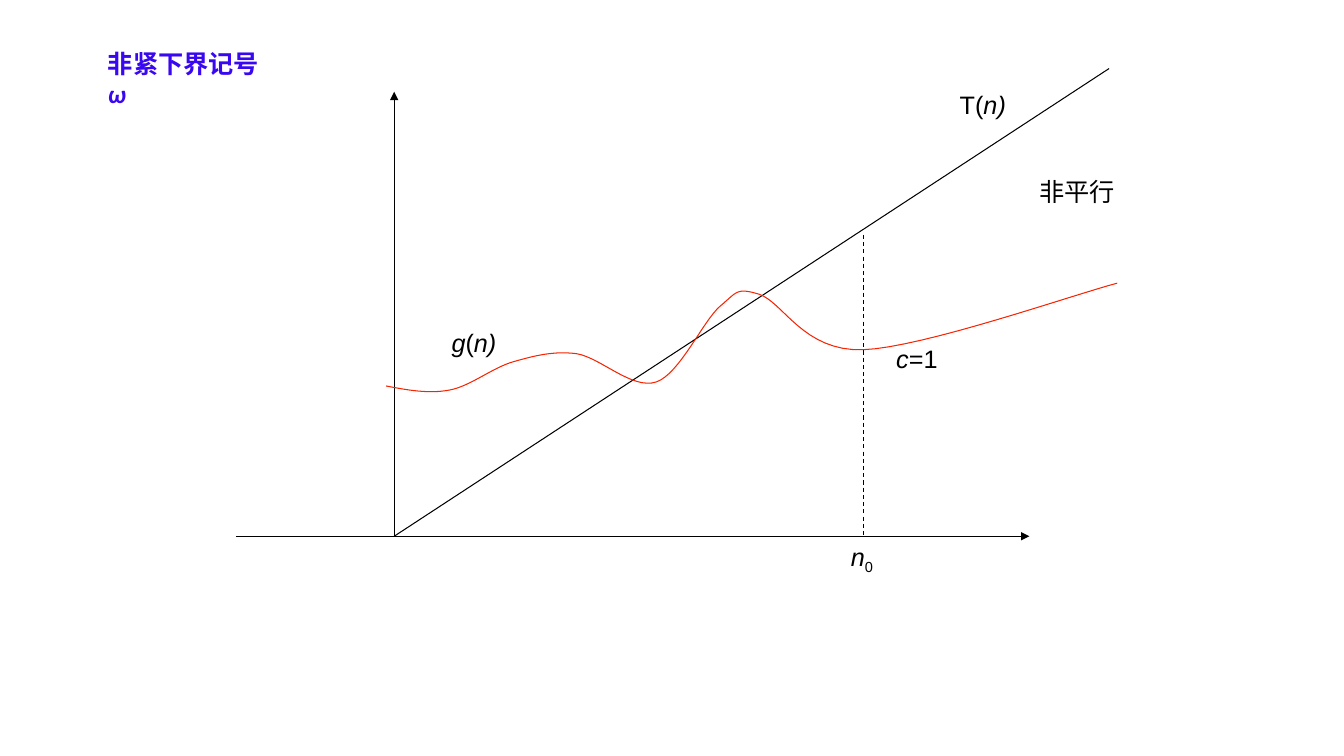
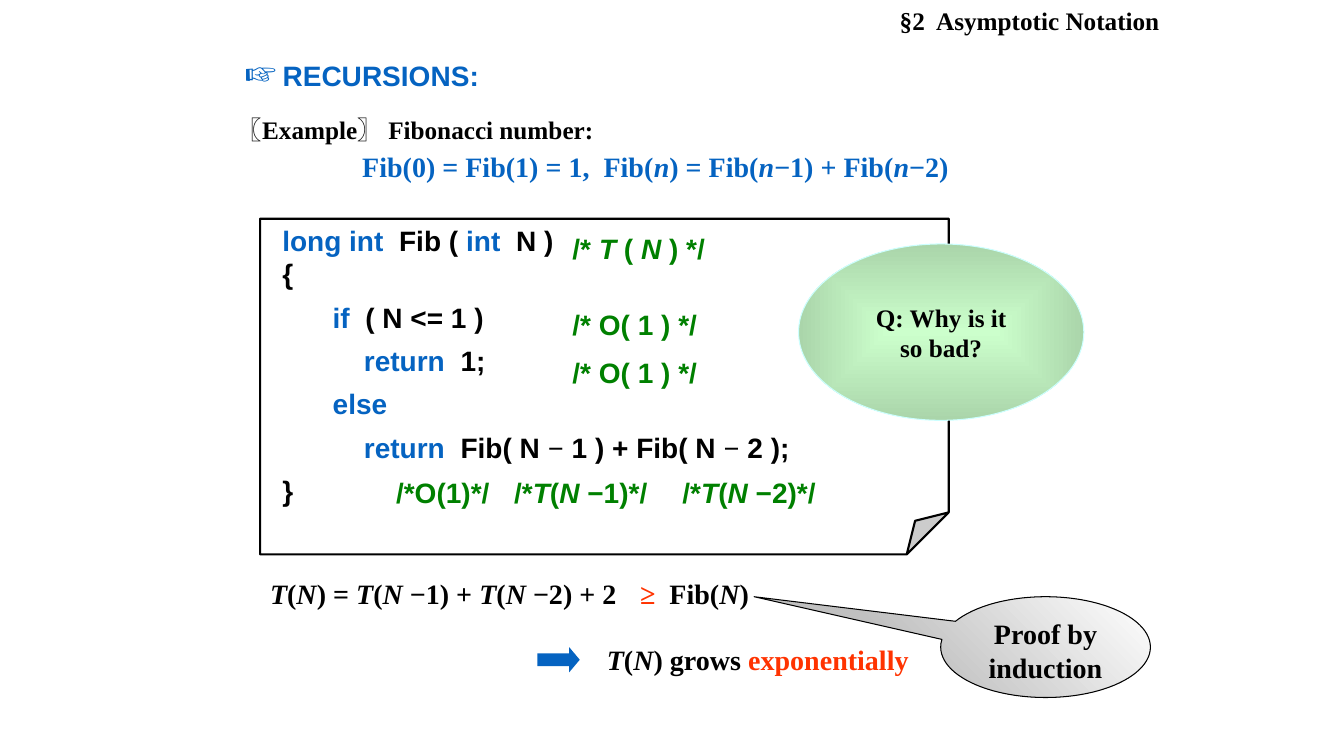
from dataclasses import dataclass

from lxml.etree import SubElement
from pptx import Presentation
from pptx.dml.color import RGBColor
from pptx.enum.dml import MSO_LINE_DASH_STYLE as Dash
from pptx.enum.shapes import MSO_CONNECTOR as Conn, MSO_SHAPE as Shp
from pptx.enum.text import MSO_ANCHOR as Anchor, MSO_AUTO_SIZE as Auto, PP_ALIGN as Align
from pptx.oxml.ns import qn
from pptx.util import Inches, Pt


@dataclass(frozen=True)
class Theme:
    """Colours, fonts and type sizes of the deck."""
    black: str = "000000"
    white: str = "FFFFFF"
    violet: str = "3907F1"
    blue: str = "0563C1"
    green: str = "008000"
    red: str = "FF3300"
    curve: str = "F72401"
    silver: str = "C0C0C0"
    mint: str = "CCFFCC"
    sage: str = "AAD5AA"
    ice: str = "CCFFFF"
    sans: str = "Arial"
    serif: str = "Times New Roman"
    title: str = "Calibri"
    small: int = 18
    large: int = 20
    icon: int = 28


T = Theme()
BLUE = {"color": T.blue}
RED = {"color": T.red}
SERIF = {"font": T.serif}
CODE = [
    [("long int", BLUE), "  Fib ( ", ("int", BLUE), "  N )"],
    ["{"],
    ["\t", ("if", BLUE), "  ( N <= 1 )"],
    ["\t    ", ("return", BLUE), "  1;"],
    ["\t", ("else", BLUE)],
    ["\t    ", ("return", BLUE), "  Fib( N ", ("−", SERIF), " 1 ) + Fib( N ",
     ("−", SERIF), " 2 );"],
    ["}"],
]
NOTES = [
    (3, 0.08, 1.83, "/* _T _( _N _) */"),
    (3, 0.83, 1.83, "/* O( 1 ) */"),
    (3, 1.31, 1.83, "/* O( 1 ) */"),
    (1.25, 2.5, 1.33, "/*O(1)*/"),
    (2.42, 2.5, 1.75, "/*_T_(_N _−1)*/"),
    (4.09, 2.5, 1.75, "/*_T_(_N _−2)*/"),
]
CURVE_START = (-0.08, 1.49)
CURVE = [
    ((0.13, 1.45), (0.34, 1.41), (0.55, 1.45)),
    ((0.76, 1.49), (0.97, 1.67), (1.18, 1.73)),
    ((1.39, 1.79), (1.58, 1.84), (1.81, 1.81)),
    ((2.05, 1.77), (2.36, 1.45), (2.6, 1.53)),
    ((2.83, 1.61), (3.06, 2.13), (3.23, 2.28)),
    ((3.4, 2.42), (3.39, 2.47), (3.62, 2.4)),
    ((3.86, 2.32), (4.06, 1.83), (4.65, 1.85)),
    ((5.24, 1.87), (6.75, 2.4), (7.17, 2.51)),
]


def rgb(color):
    """Turn a hex string into a colour."""
    return RGBColor.from_string(color)


def write(p, text, size=T.small, font=T.sans, color=T.black, bold=False):
    """Add text to a paragraph, with italics between underscores."""
    for i, part in enumerate(text.split("_")):
        if part:
            r = p.add_run()
            r.text = part
            r.font.size, r.font.name = Pt(size), font
            r.font.bold, r.font.italic = bold, i % 2 == 1
            r.font.color.rgb = rgb(color)


def fill_par(p, parts, align=Align.LEFT, before=0, after=0, **fmt):
    """Set up a paragraph from strings and (string, overrides) pairs."""
    p.alignment = align
    p.space_before, p.space_after = Pt(before), Pt(after)
    for part in parts:
        text, extra = (part, {}) if isinstance(part, str) else part
        write(p, text, **{**fmt, **extra})


def place(sp, box):
    """Move a shape to a box in inches."""
    sp.left, sp.top, sp.width, sp.height = map(Inches, box)


def label(s, box, *parts, **fmt):
    """Add a one-paragraph text box."""
    sp = s.shapes.add_textbox(*map(Inches, box))
    sp.text_frame.word_wrap = True
    fill_par(sp.text_frame.paragraphs[0], parts, **fmt)
    return sp


def holder(sp, box):
    """Place a placeholder with top-anchored text and return its text frame."""
    place(sp, box)
    tf = sp.text_frame
    tf.word_wrap, tf.auto_size = True, Auto.NONE
    tf.vertical_anchor = Anchor.TOP
    return tf


def adjust(sp, values):
    """Write the adjustment values of a preset shape."""
    guides = sp.element.spPr.find(qn("a:prstGeom")).find(qn("a:avLst"))
    for guide in list(guides):
        guides.remove(guide)
    for i, value in enumerate(values, 1):
        name = "adj" if len(values) == 1 else f"adj{i}"
        SubElement(guides, qn("a:gd"),
                   {"name": name, "fmla": f"val {round(value * 100000)}"})


def shape(s, kind, box, adj=(), fill=None, line=None, width=0.75):
    """Add a preset shape without shadow."""
    sp = s.shapes.add_shape(kind, *map(Inches, box))
    sp.shadow.inherit = False
    if adj:
        adjust(sp, adj)
    if fill:
        sp.fill.solid()
        sp.fill.fore_color.rgb = rgb(fill)
    if line:
        sp.line.color.rgb, sp.line.width = rgb(line), Pt(width)
    else:
        sp.line.fill.background()
    return sp


def gradient(sp, start, end, angle=None):
    """Fill a shape with a linear gradient, or from its centre without an angle."""
    sp.fill.gradient()
    for stop, color, pos in zip(sp.fill.gradient_stops, (start, end), (0, 1)):
        stop.color.rgb, stop.position = rgb(color), pos
    if angle is not None:
        sp.fill.gradient_angle = angle
        return
    grad = sp.element.spPr.find(qn("a:gradFill"))
    grad.remove(grad.find(qn("a:lin")))
    radial = SubElement(grad, qn("a:path"), {"path": "shape"})
    SubElement(radial, qn("a:fillToRect"), dict.fromkeys("ltrb", "50000"))


def line(s, start, end, arrow=False, dash=None, target=None):
    """Draw a thin black line, optionally joined to the top of a target."""
    c = s.shapes.add_connector(Conn.STRAIGHT, *map(Inches, (*start, *end)))
    c.line.color.rgb, c.line.width = rgb(T.black), Pt(0.75)
    if dash:
        c.line.dash_style = dash
    if target is not None:
        c.end_connect(target, 0)
    spPr = c.element.spPr
    if arrow:
        SubElement(spPr.find(qn("a:ln")), qn("a:tailEnd"), {"type": "triangle"})
    SubElement(spPr, qn("a:effectLst"))


def bezier(p0, p1, p2, p3, steps=16):
    """List points along a cubic curve, without its start."""
    pts = []
    for t in (i / steps for i in range(1, steps + 1)):
        w = ((1 - t) ** 3, 3 * t * (1 - t) ** 2, 3 * t * t * (1 - t), t ** 3)
        pts.append(tuple(sum(k * v for k, v in zip(w, axis))
                         for axis in zip(p0, p1, p2, p3)))
    return pts


def plot(s, x, y):
    """Draw the growth plot with its top left corner at x, y."""
    def at(dx, dy):
        """Map plot coordinates to the slide."""
        return x + 1.57 + dx, y + 4.64 - dy

    line(s, at(-1.57, 0), at(6.3, 0), arrow=True)
    line(s, at(0, 0), at(0, 4.41), arrow=True)
    line(s, at(0, 0), at(7.09, 4.64))
    for dx, dy, w, text in ((0.47, 2.12, 0.71, "_g_(_n)_"),
                            (5.51, 4.48, 0.71, "T(_n)_"),
                            (4.88, 1.96, 0.75, "_c_=1"),
                            (6.3, 3.62, 1.1, "非平行")):
        label(s, (*at(dx, dy), w, 0.4), text)
    n0 = label(s, (*at(4.43, 0), 0.44, 0.4), "_n_", "0")
    sub = n0.text_frame.paragraphs[0].runs[1]
    sub.font._element.set("baseline", "-25000")
    line(s, at(4.65, 2.99), at(4.65, 0), dash=Dash.DASH, target=n0)

    pts, last = [], CURVE_START
    for seg in CURVE:
        pts += bezier(last, *seg)
        last = seg[-1]
    fb = s.shapes.build_freeform(*map(Inches, at(*CURVE_START)))
    fb.add_line_segments([tuple(map(Inches, at(*pt))) for pt in pts], close=False)
    sp = fb.convert_to_shape()
    sp.shadow.inherit = False
    sp.fill.background()
    sp.line.color.rgb, sp.line.width = rgb(T.curve), Pt(0.75)


def example(sp, box):
    """Fill the body placeholder with the Fibonacci definition."""
    tf = holder(sp, box)
    rows = [
        ("〖Example〗 Fibonacci number:", dict(size=T.small)),
        ("Fib(0) = Fib(1) = 1,  Fib(_n_) = Fib(_n_−1) + Fib(_n_−2)",
         dict(size=T.large, color=T.blue, align=Align.CENTER, before=4)),
    ]
    for i, (text, fmt) in enumerate(rows):
        p = tf.add_paragraph() if i else tf.paragraphs[0]
        pPr = p._p.get_or_add_pPr()
        pPr.set("marL", "0")
        pPr.set("indent", "0")
        SubElement(pPr, qn("a:buNone"))
        fill_par(p, [text], font=T.serif, bold=True, **fmt)


def code_sheet(s, x, y):
    """Draw the code page and its cost notes from the corner x, y."""
    sp = shape(s, Shp.FOLDED_CORNER, (x, y, 6.83, 3.33), (0.125,),
               fill=T.white, line=T.black, width=1.5)
    tf = sp.text_frame
    tf.word_wrap, tf.vertical_anchor = True, Anchor.BOTTOM
    tf.margin_left = Inches(0.22)
    for i, parts in enumerate(CODE):
        p = tf.add_paragraph() if i else tf.paragraphs[0]
        fill_par(p, parts, after=7 if i else 0, size=T.large, bold=True)
    for dx, dy, w, text in NOTES:
        label(s, (x + dx, y + dy, w, 0.43), text,
              size=T.large, color=T.green, bold=True)


def bubble(s, kind, box, rows, colors, border, size, adj=(), angle=None,
           anchor=Anchor.TOP):
    """Draw a gradient bubble with centred text."""
    sp = shape(s, kind, box, adj, line=border)
    gradient(sp, *colors, angle)
    tf = sp.text_frame
    tf.word_wrap, tf.vertical_anchor = True, anchor
    for i, text in enumerate(rows):
        p = tf.add_paragraph() if i else tf.paragraphs[0]
        fill_par(p, [text], align=Align.CENTER, size=size, font=T.serif, bold=True)


def conclusion(s, x, y):
    """Write the recurrence and its growth from the corner x, y."""
    fmt = dict(size=T.large, font=T.serif, bold=True)
    label(s, (x, y, 3.83, 0.44), "_T_(_N_) = _T_(_N _−1) + _T_(_N _−2) + 2", **fmt)
    label(s, (x + 3.67, y, 1.58, 0.44), ("≥  ", RED), "Fib(_N_)", **fmt)
    shape(s, Shp.RIGHT_ARROW, (x + 2.75, y + 0.75, 0.42, 0.25), (0.5, 0.42),
          fill=T.blue)
    label(s, (x + 3.34, y + 0.66, 3.58, 0.43), "_T_(_N_) grows ",
          ("exponentially", RED), **fmt)


def omega_slide(prs):
    """Build the slide on the loose lower bound."""
    s = prs.slides.add_slide(prs.slide_layouts[5])
    p = holder(s.shapes.title, (0.97, 0.43, 1.93, 0.41)).paragraphs[0]
    fmt = dict(font=T.title, color=T.violet, bold=True)
    fill_par(p, ["非紧下界记号"], **fmt)
    p.add_line_break()
    write(p, "_ω_", **fmt)
    plot(s, 2.34, 0.68)


def recursion_slide(prs):
    """Build the slide on the cost of recursion."""
    s = prs.slides.add_slide(prs.slide_layouts[1])
    p = holder(s.shapes.title, (2.33, 0.42, 3.08, 0.57)).paragraphs[0]
    fill_par(p, [("☞", dict(size=T.icon, font=T.serif)),
                 (" ", dict(size=T.small, font=T.serif)), "RECURSIONS:"],
             size=T.large, color=T.blue, bold=True)
    example(s.placeholders[1], (2.25, 1.08, 8.5, 0.8))
    header = label(s, (8.33, 0, 3.33, 0.4), "§2  Asymptotic Notation",
                   align=Align.RIGHT, font=T.serif, bold=True)
    header.text_frame.margin_right = Inches(0.16)
    code_sheet(s, 2.58, 2.17)
    conclusion(s, 2.58, 5.67)
    bubble(s, Shp.OVAL_CALLOUT, (9.33, 5.92, 2.08, 1), ["Proof by induction"],
           (T.silver, T.white), T.black, T.large, adj=(-1.39, -0.5), angle=45)
    bubble(s, Shp.OVAL, (7.92, 2.42, 2.83, 1.75), ["Q: Why is it", "so bad?"],
           (T.mint, T.sage), T.ice, T.small, anchor=Anchor.MIDDLE)


def main():
    """Build and save the deck."""
    prs = Presentation()
    prs.slide_width, prs.slide_height = Inches(13.33), Inches(7.5)
    omega_slide(prs)
    recursion_slide(prs)
    prs.save("out.pptx")


if __name__ == "__main__":
    main()
